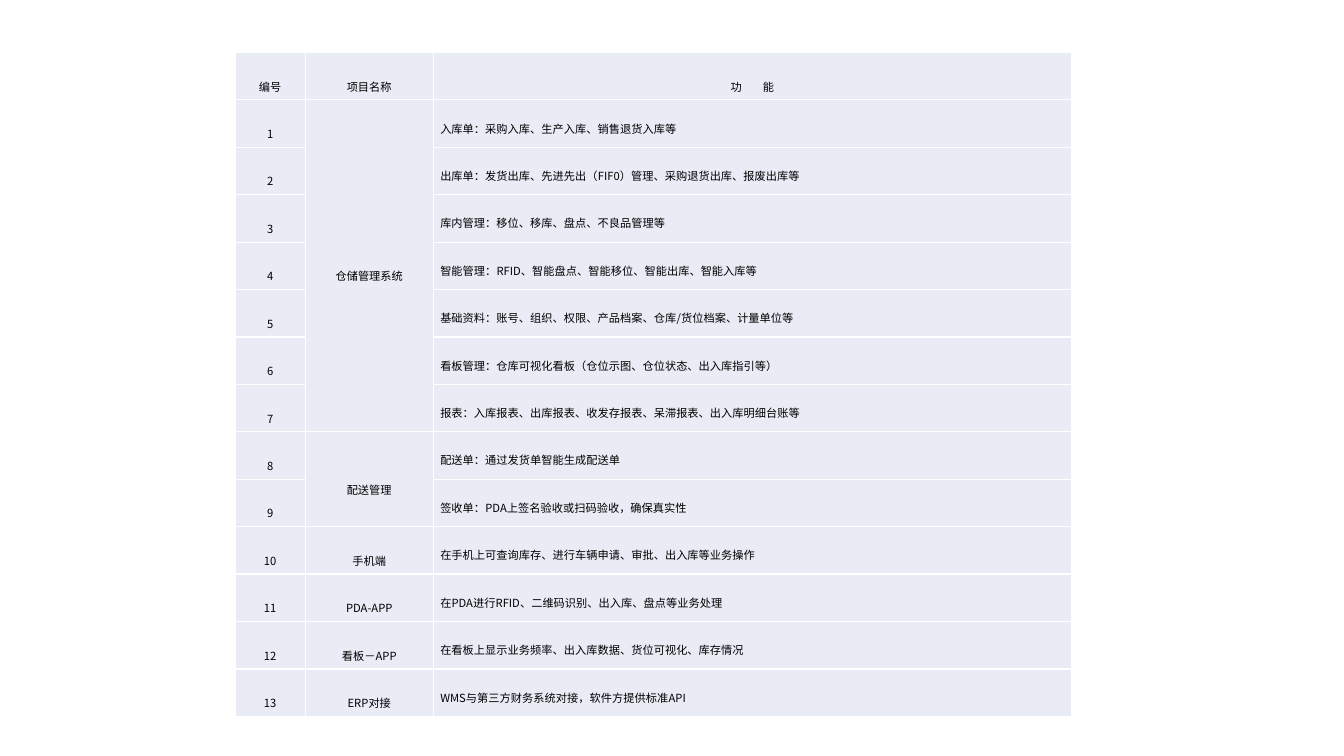
from lxml.etree import SubElement
from pptx import Presentation
from pptx.dml.color import RGBColor as Rgb
from pptx.enum.text import MSO_ANCHOR as Anchor, PP_ALIGN as Align
from pptx.oxml.ns import qn
from pptx.util import Inches, Pt

COLORS = {"ink": "000000", "cell": "E9EBF5", "border": "FFFFFF"}
FONT = "Noto Sans CJK SC"
COLUMN_WIDTHS = (0.7, 1.27, 6.34)
HEADINGS = ("编号", "项目名称", "功 能")
PROJECTS = (
    ("仓储管理系统", (
        "入库单：采购入库、生产入库、销售退货入库等",
        "出库单：发货出库、先进先出（FIF0）管理、采购退货出库、报废出库等",
        "库内管理：移位、移库、盘点、不良品管理等",
        "智能管理：RFID、智能盘点、智能移位、智能出库、智能入库等",
        "基础资料：账号、组织、权限、产品档案、仓库/货位档案、计量单位等",
        "看板管理：仓库可视化看板（仓位示图、仓位状态、出入库指引等）",
        "报表：入库报表、出库报表、收发存报表、呆滞报表、出入库明细台账等",
    )),
    ("配送管理", (
        "配送单：通过发货单智能生成配送单",
        "签收单：PDA上签名验收或扫码验收，确保真实性",
    )),
    ("手机端", ("在手机上可查询库存、进行车辆申请、审批、出入库等业务操作",)),
    ("PDA-APP", ("在PDA进行RFID、二维码识别、出入库、盘点等业务处理",)),
    ("看板－APP", ("在看板上显示业务频率、出入库数据、货位可视化、库存情况",)),
    ("ERP对接", ("WMS与第三方财务系统对接，软件方提供标准API",)),
)


def write(cell, text, align=Align.CENTER, anchor=Anchor.MIDDLE, tracking=0):
    cell.vertical_anchor = anchor
    paragraph = cell.text_frame.paragraphs[0]
    paragraph.alignment = align
    paragraph.line_spacing = Pt(26)
    pieces = ((text[:-1], tracking), (text[-1], 0)) if tracking else ((text, 0),)
    for piece, spacing in pieces:
        run = paragraph.add_run()
        run.text = piece
        run.font.size = Pt(8)
        run.font.name = FONT
        run.font.color.rgb = Rgb.from_string(COLORS["ink"])
        properties = run.font._element
        SubElement(properties, qn("a:ea"), typeface=FONT)
        if spacing:
            properties.set("spc", str(round(spacing * 100)))


def format_cell(cell):
    cell.margin_left = cell.margin_right = Inches(0.07)
    cell.margin_top = cell.margin_bottom = 0
    properties = cell._tc.get_or_add_tcPr()
    for side in ("lnL", "lnR", "lnT", "lnB"):
        border = SubElement(properties, qn(f"a:{side}"), w=str(Pt(1)))
        fill = SubElement(border, qn("a:solidFill"))
        SubElement(fill, qn("a:srgbClr"), val=COLORS["border"])
    cell.fill.solid()
    cell.fill.fore_color.rgb = Rgb.from_string(COLORS["cell"])


def add_function_table(slide, left, top, width, height):
    row_count = 1 + sum(len(functions) for _, functions in PROJECTS)
    table = slide.shapes.add_table(
        row_count, len(COLUMN_WIDTHS), left, top, width, height).table
    table.first_row = table.horz_banding = False
    for column, share in zip(table.columns, COLUMN_WIDTHS):
        column.width = round(width * share / sum(COLUMN_WIDTHS))
    for row in table.rows:
        row.height = round(height / row_count)
    for cell in table.iter_cells():
        format_cell(cell)

    for column, heading in enumerate(HEADINGS):
        write(table.cell(0, column), heading, tracking=6.6 if " " in heading else 0)
    number = 1
    for project, functions in PROJECTS:
        project_cell = table.cell(number, 1)
        if len(functions) > 1:
            project_cell.merge(table.cell(number + len(functions) - 1, 1))
        write(project_cell, project)
        for function in functions:
            write(table.cell(number, 0), str(number))
            write(table.cell(number, 2), function, align=Align.JUSTIFY, anchor=Anchor.TOP)
            number += 1


def main():
    deck = Presentation()
    deck.slide_width, deck.slide_height = Inches(13.33), Inches(7.5)
    slide = deck.slides.add_slide(deck.slide_layouts[6])
    add_function_table(slide, Inches(2.33), Inches(0.52), Inches(8.3), Inches(6.59))
    deck.save("out.pptx")


if __name__ == "__main__":
    main()
